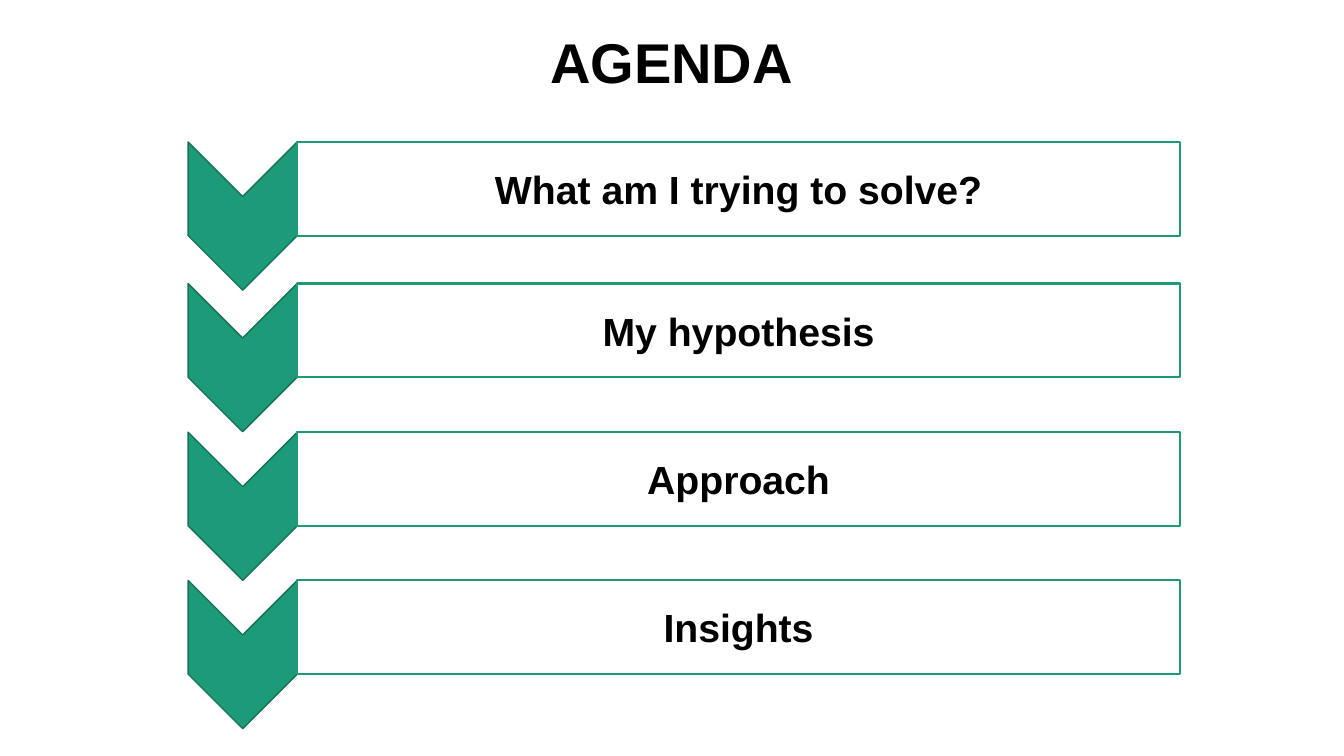
"""Build the agenda slide: a title and a column of chevrons with labelled bars."""
from dataclasses import dataclass

from pptx import Presentation
from pptx.dml.color import RGBColor
from pptx.enum.shapes import MSO_SHAPE
from pptx.enum.text import MSO_ANCHOR, PP_ALIGN
from pptx.util import Pt


@dataclass(frozen=True)
class Theme:
    font: str = "Arial"
    ink: str = "000000"
    paper: str = "FFFFFF"
    green: str = "1D9A78"
    edge: str = "157259"
    title: int = 40
    label: int = 28


class Deck:
    def __init__(self, theme, slide):
        self.theme = theme
        self.slide = slide

    def label(self, frame, text, size):
        frame.word_wrap = True
        par = frame.paragraphs[0]
        par.text = text
        par.alignment = PP_ALIGN.CENTER
        par.font.name = self.theme.font
        par.font.size = Pt(size)
        par.font.bold = True
        par.font.color.rgb = RGBColor.from_string(self.theme.ink)

    def shape(self, kind, box, fill, line, width):
        item = self.slide.shapes.add_shape(kind, *map(Pt, box))
        item.shadow.inherit = False
        item.fill.solid()
        item.fill.fore_color.rgb = RGBColor.from_string(fill)
        item.line.color.rgb = RGBColor.from_string(line)
        item.line.width = Pt(width)
        return item

    def title(self, text, box):
        item = self.slide.shapes.add_textbox(*map(Pt, box))
        self.label(item.text_frame, text, self.theme.title)

    def arrow(self, left, top, wide, tall):
        shift = (wide - tall) / 2
        box = (left - shift, top + shift, wide, tall)
        item = self.shape(MSO_SHAPE.CHEVRON, box, self.theme.green, self.theme.edge, 1)
        item.rotation = 90

    def bar(self, text, box):
        item = self.shape(MSO_SHAPE.RECTANGLE, box, self.theme.paper, self.theme.green, 1.5)
        item.text_frame.vertical_anchor = MSO_ANCHOR.MIDDLE
        self.label(item.text_frame, text, self.theme.label)


def main():
    show = Presentation()
    show.slide_width, show.slide_height = Pt(960), Pt(540)
    deck = Deck(Theme(), show.slides.add_slide(show.slide_layouts[6]))
    steps = {
        "What am I trying to solve?": 101.4,
        "My hypothesis": 202.5,
        "Approach": 308.7,
        "Insights": 414.6,
    }
    deck.title("AGENDA", (128, 16, 703.5, 230.4))
    for top in steps.values():
        deck.arrow(134.4, top, 105.9, 77.9)
    for text, top in steps.items():
        deck.bar(text, (212.3, top, 630.5, 67))
    show.save("out.pptx")


if __name__ == "__main__":
    main()
